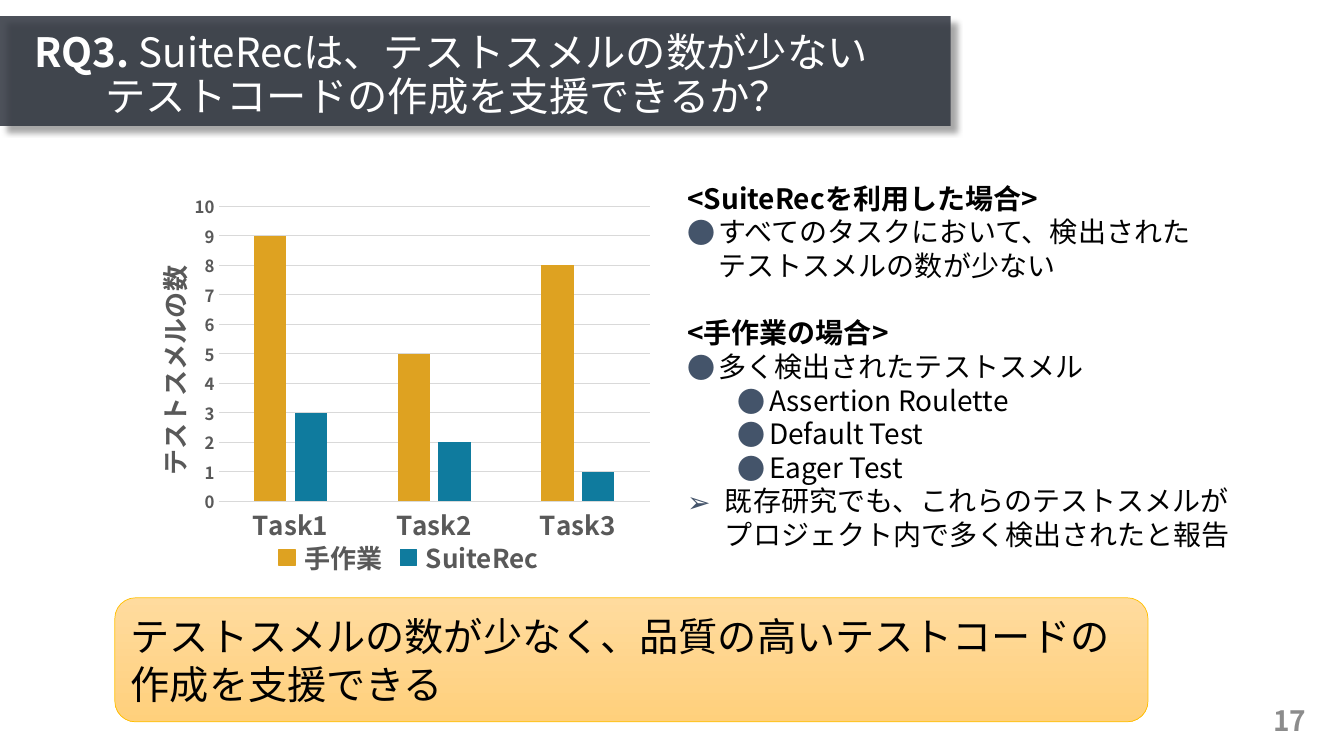
from lxml import etree
from pptx import Presentation
from pptx.chart.data import CategoryChartData
from pptx.dml.color import RGBColor
from pptx.enum import chart as charts, shapes, text
from pptx.oxml import parse_xml
from pptx.oxml.ns import qn
from pptx.util import Pt

FONT = "Noto Sans CJK JP"
MANUAL, SUITEREC = "DEA221", "0F7B9E"
GREY, GRID = "595959", "D9D9D9"
SERIES = {"手作業": (MANUAL, (9, 5, 8)), "SuiteRec": (SUITEREC, (3, 2, 1))}


def rgb(color):
    return RGBColor.from_string(color)


def sub(parent, tag, **attrs):
    return etree.SubElement(parent, qn(tag), {k: str(v) for k, v in attrs.items()})


def set_font(font, size, color, bold=False):
    for name, value in {"name": FONT, "size": Pt(size), "bold": bold}.items():
        setattr(font, name, value)
    font.color.rgb = rgb(color)


def add_run(paragraph, words, size, color, bold=False):
    for i, line in enumerate(words.split("\n")):
        if i:
            paragraph.add_line_break()
        run = paragraph.add_run()
        run.text = line
        set_font(run.font, size, color, bold)
        sub(run.font._element, "a:ea", typeface=FONT)


def add_box(slide, box, anchor=text.MSO_ANCHOR.TOP):
    frame = slide.shapes.add_textbox(*map(Pt, box)).text_frame
    for name, value in {"word_wrap": True, "vertical_anchor": anchor}.items():
        setattr(frame, name, value)
    return frame


def add_block(slide, kind, box, fill=None, line=None, width=1):
    block = slide.shapes.add_shape(kind, *map(Pt, box))
    block.shadow.inherit = False
    if fill:
        block.fill.solid()
        block.fill.fore_color.rgb = rgb(fill)
    if line:
        block.line.color.rgb = rgb(line)
        block.line.width = Pt(width)
    else:
        block.line.fill.background()
    return block


def set_indent(paragraph, left, hanging):
    pPr = paragraph._p.get_or_add_pPr()
    pPr.set("marL", str(Pt(left)))
    pPr.set("indent", str(-Pt(hanging)))
    return pPr


def add_heading(slide, box):
    left, top, width, height = box
    # Translucent banner with a shadow
    banner = add_block(slide, shapes.MSO_SHAPE.RECTANGLE, box, "30353F")
    spPr = banner._element.spPr
    sub(spPr.find(".//" + qn("a:srgbClr")), "a:alpha", val=86000)
    shadow = sub(spPr.find(qn("a:effectLst")), "a:outerShdw", blurRad=Pt(4),
                 dist=Pt(6), dir=45 * 60000, algn="tl", rotWithShape=0)
    sub(sub(shadow, "a:srgbClr", val="000000"), "a:alpha", val=40000)
    # Question
    frame = add_box(slide, (left + 17.3, top + 14.4, width - 13, 57.6),
                    text.MSO_ANCHOR.MIDDLE)
    question = frame.paragraphs[0]
    set_indent(question, 51, 51)
    question.line_spacing = 0.9
    add_run(question, "RQ3. ", 28.8, "FFFFFF", True)
    add_run(question, "SuiteRecは、テストスメルの数が少ない\nテストコードの作成を支援できるか？",
            28.8, "FFFFFF")


def set_layout(parent, position, **values):
    for old in parent.findall(qn("c:layout")):
        parent.remove(old)
    layout = parse_xml('<c:layout xmlns:c="http://schemas.openxmlformats.org/'
                       'drawingml/2006/chart"><c:manualLayout/></c:layout>')
    for tag, value in values.items():
        sub(layout[0], "c:" + tag, val=value)
    parent.insert(position, layout)


def add_smell_chart(slide, box):
    left, top, width, height = box
    data = CategoryChartData()
    data.categories = ["Task1", "Task2", "Task3"]
    for name, (color, values) in SERIES.items():
        data.add_series(name, values)
    chart = slide.shapes.add_chart(charts.XL_CHART_TYPE.COLUMN_CLUSTERED,
                                   *map(Pt, box), data).chart
    set_font(chart.font, 10, "000000")
    chart.has_legend = chart.has_title = False

    # Columns
    plot = chart.plots[0]
    for name, value in {"gap_width": 219, "overlap": -27,
                        "vary_by_categories": False}.items():
        setattr(plot, name, value)
    for series in plot.series:
        series.format.fill.solid()
        series.format.fill.fore_color.rgb = rgb(SERIES[series.name][0])

    # Axes
    tasks, counts = chart.category_axis, chart.value_axis
    for axis, size in ((tasks, 18.6), (counts, 12)):
        axis.major_tick_mark = axis.minor_tick_mark = charts.XL_TICK_MARK.NONE
        set_font(axis.tick_labels.font, size, GREY, True)
    for name, value in {"minimum_scale": 0, "maximum_scale": 10, "major_unit": 1,
                        "has_major_gridlines": True}.items():
        setattr(counts, name, value)
    counts.format.line.fill.background()
    for line in (tasks.format.line, counts.major_gridlines.format.line):
        line.color.rgb = rgb(GRID)
        line.width = Pt(0.75)
    title = counts.axis_title
    add_run(title.text_frame.paragraphs[0], "テストスメルの数", 18.6, GREY, True)
    title.text_frame._txBody.find(qn("a:bodyPr")).attrib.update(
        {"rot": "-5400000", "vert": "horz"})
    set_layout(title._element, 1, xMode="edge", yMode="edge", x=0.06, y=0.21)
    set_layout(plot._element.getparent(), 0, layoutTarget="inner", xMode="edge",
               yMode="edge", x=0.19, y=0.06, w=0.79, h=0.81)

    # Legend below the chart
    for i, (name, (color, values)) in enumerate(SERIES.items()):
        x, y = left + 117.4 + i * 86.5, top + height
        add_block(slide, shapes.MSO_SHAPE.RECTANGLE, (x, y + 0.7, 11.5, 11.5),
                  color, color)
        label = add_box(slide, (x + 11.2, y - 8, 102, 29.5))
        add_run(label.paragraphs[0], name, 18.6, GREY, True)


def add_findings(slide, box):
    # Wording, bullet, left indent, hanging indent
    findings = [
        ("<SuiteRecを利用した場合>", None, 0, 0),
        ("すべてのタスクにおいて、検出された\nテストスメルの数が少ない", "●", 22.5, 22.5),
        ("<手作業の場合>", None, 0, 0),
        ("多く検出されたテストスメル", "●", 22.5, 22.5),
        ("Assertion Roulette", "●", 58.5, 22.5),
        ("Default Test", "●", 58.5, 22.5),
        ("Eager Test", "●", 58.5, 22.5),
        ("既存研究でも、これらのテストスメルが\nプロジェクト内で多く検出されたと報告", "➢", 27, 27),
    ]
    frame = add_box(slide, box)
    for i, (words, bullet, left, hanging) in enumerate(findings):
        finding = frame.add_paragraph() if i else frame.paragraphs[0]
        if bullet:
            pPr = set_indent(finding, left, hanging)
            sub(sub(pPr, "a:buClr"), "a:srgbClr", val="44546A")
            sub(pPr, "a:buFont", typeface=FONT)
            sub(pPr, "a:buChar", char=bullet)
        elif i:
            finding.space_before = Pt(24)
        add_run(finding, words, 20, "000000", not bullet)


def add_conclusion(slide, box):
    panel = add_block(slide, shapes.MSO_SHAPE.ROUNDED_RECTANGLE, box,
                      line="FFC000", width=0.5)
    panel.fill.gradient()
    panel.fill.gradient_angle = 270
    for stop, color in zip(panel.fill.gradient_stops, ("FFDB9E", "FFD07C")):
        stop.color.rgb = rgb(color)
    for stop, position in zip(panel.fill.gradient_stops, (0, 1)):
        stop.position = position
    panel.text_frame.vertical_anchor = text.MSO_ANCHOR.MIDDLE
    conclusion = panel.text_frame.paragraphs[0]
    conclusion.alignment = text.PP_ALIGN.LEFT
    add_run(conclusion, "テストスメルの数が少なく、品質の高いテストコードの作成を支援できる", 28, "000000")


def add_page_number(slide, box):
    number = add_box(slide, box, text.MSO_ANCHOR.MIDDLE).paragraphs[0]
    number.alignment = text.PP_ALIGN.RIGHT
    add_run(number, "17", 20, "8C8C8C", True)


def main():
    deck = Presentation()
    deck.slide_width, deck.slide_height = Pt(960), Pt(540)
    slide = deck.slides.add_slide(deck.slide_layouts[6])
    add_page_number(slide, (724.3, 500.4, 216, 28.8))
    add_heading(slide, (0, 11.5, 679, 78.5))
    add_smell_chart(slide, (82, 131.8, 390, 260))
    add_findings(slide, (483.8, 126, 405.4, 273.6))
    add_conclusion(slide, (82, 427, 738, 88.6))
    deck.save("out.pptx")


if __name__ == "__main__":
    main()
